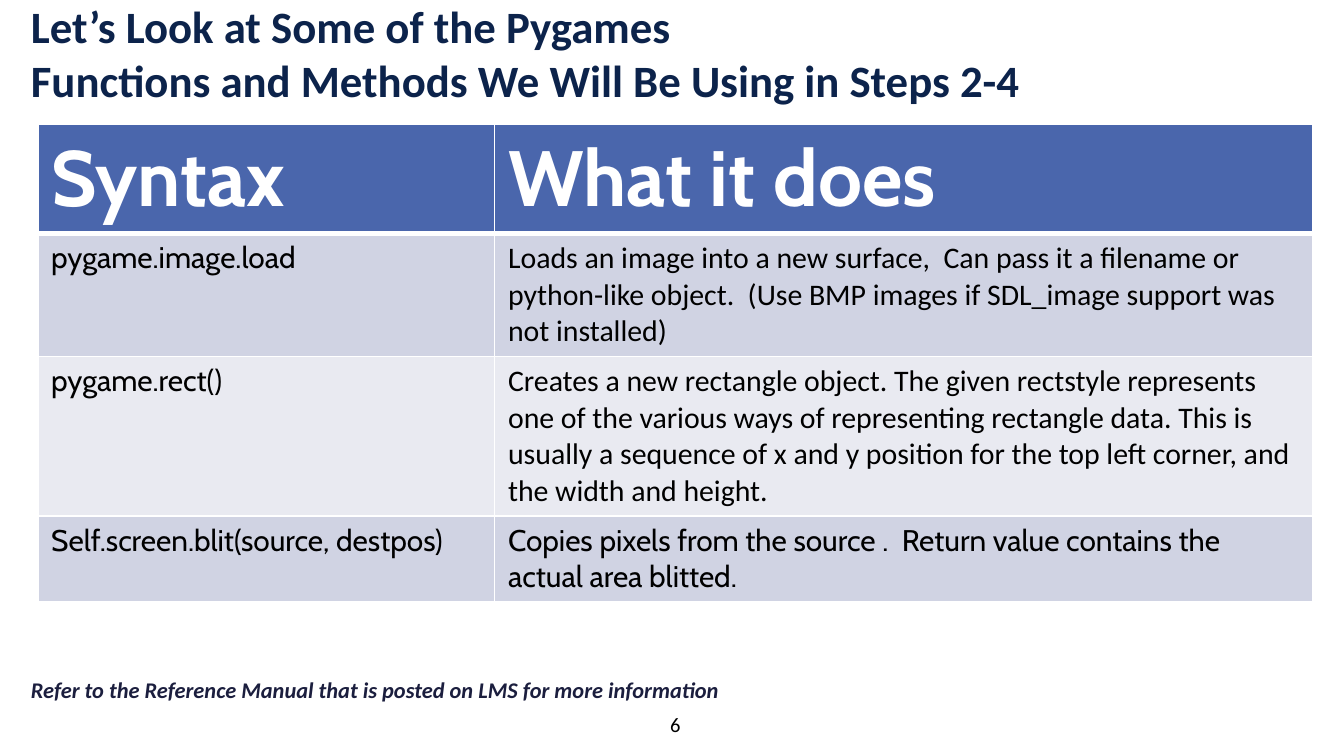
import pptx
import pptx.dml.color
import pptx.enum.text
import pptx.oxml
import pptx.oxml.ns
import pptx.util

Pt = pptx.util.Pt
RGB = pptx.dml.color.RGBColor
ALIGN = pptx.enum.text.PP_ALIGN
ANCHOR = pptx.enum.text.MSO_ANCHOR
FIT = pptx.enum.text.MSO_AUTO_SIZE

WHITE = RGB(0xFF, 0xFF, 0xFF)
BLACK = RGB(0, 0, 0)
NAVY = RGB(0x0C, 0x23, 0x4B)
INK = RGB(0x1B, 0x1E, 0x3E)
BLUE = RGB(0x4A, 0x66, 0xAC)
BANDS = [RGB(0xE9, 0xEA, 0xF1), RGB(0xD0, 0xD3, 0xE3)]


def write(frame, text, color, align=ALIGN.LEFT, **style):
    """Put text in the frame's first paragraph and format its font."""
    para = frame.paragraphs[0]
    para.text = text
    para.alignment = align
    for run in para.runs:
        run.font.color.rgb = color
        for key, value in style.items():
            setattr(run.font, key, value)


def edge(cell, side, width):
    """Draw a white border on one side (L, R, T or B) of a cell."""
    line = pptx.oxml.parse_xml(
        f'<a:ln{side} {pptx.oxml.ns.nsdecls("a")} w="{Pt(width)}"><a:solidFill>'
        f'<a:srgbClr val="{WHITE}"/></a:solidFill></a:ln{side}>')
    cell._tc.get_or_add_tcPr().append(line)


deck = pptx.Presentation()
deck.slide_width, deck.slide_height = Pt(720), Pt(405)
slide = deck.slides.add_slide(deck.slide_layouts[5])

# Title
title = slide.shapes.title
place = {"left": 13.7, "top": 9.4, "width": 558, "height": 37.4}
for key, value in place.items():
    setattr(title, key, Pt(value))
frame = title.text_frame
setup = {"auto_size": FIT.NONE, "word_wrap": True, "vertical_anchor": ANCHOR.MIDDLE}
setup |= {f"margin_{side}": Pt(2.9) for side in ("left", "right", "top", "bottom")}
for key, value in setup.items():
    setattr(frame, key, value)
write(frame, "Let’s Look at Some of the Pygames \vFunctions and Methods We Will Be Using in Steps 2-4",
      NAVY, name="Calibri", size=Pt(24), bold=True)

# Table of functions: text and font of each cell
rows = [
    (58.5, ("Syntax", "Cabin"), ("What it does", "Cabin")),
    (65.5, ("pygame.image.load", "Cabin"),
     ("Loads an image into a new surface,  Can pass it a filename or python-like object.  "
      "(Use BMP images if SDL_image support was not installed)", "Calibri")),
    (85.5, ("pygame.rect()", "Cabin"),
     ("Creates a new rectangle object. The given rectstyle represents one of the various "
      "ways of representing rectangle data. This is usually a sequence of x and y position "
      "for the top left corner, and the width and height.", "Calibri")),
    (45, ("Self.screen.blit(source, destpos)", "Cabin"),
     ("Copies pixels from the source .  Return value contains the actual area blitted.", "Cabin")),
]
high = sum(row[0] for row in rows)
table = slide.shapes.add_table(len(rows), 2, Pt(20.2), Pt(66.6), Pt(683.3), Pt(high)).table
for col, width in zip(table.columns, (244.8, 438.5)):
    col.width = Pt(width)
for r, (tall, *cells) in enumerate(rows):
    table.rows[r].height = Pt(tall)
    head = r == 0
    for c, (text, font) in enumerate(cells):
        cell = table.cell(r, c)
        for side, width in zip("LRTB", (1, 1, 3 if r == 1 else 1, 3 if head else 1)):
            edge(cell, side, width)
        cell.fill.solid()
        cell.fill.fore_color.rgb = BLUE if head else BANDS[r % 2]
        write(cell.text_frame, text, WHITE if head else BLACK,
              name=font, size=Pt(42 if head else 16), bold=head)

# Footnote and page number
notes = [
    ((9.4, 358.6, 459.4, 21.6), "Refer to the Reference Manual that is posted on LMS for more information",
     INK, ALIGN.LEFT, {"size": Pt(12), "bold": True, "italic": True}),
    ((346.3, 378, 31, 20.9), "6", BLACK, ALIGN.CENTER, {"size": Pt(11)}),
]
for spot, text, color, align, style in notes:
    box = slide.shapes.add_textbox(*map(Pt, spot))
    box.text_frame.word_wrap = True
    write(box.text_frame, text, color, align, name="Calibri", **style)

deck.save("out.pptx")
